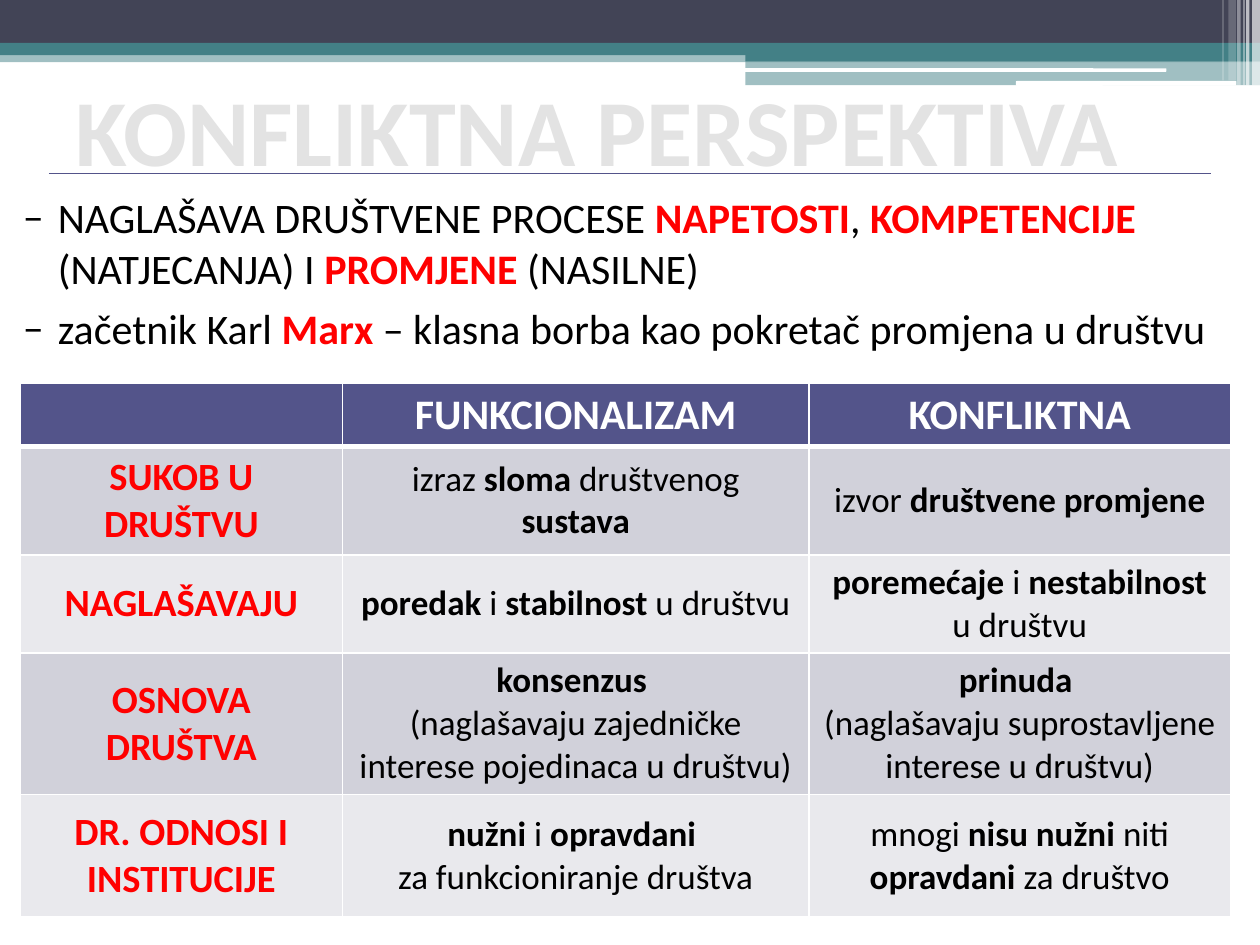
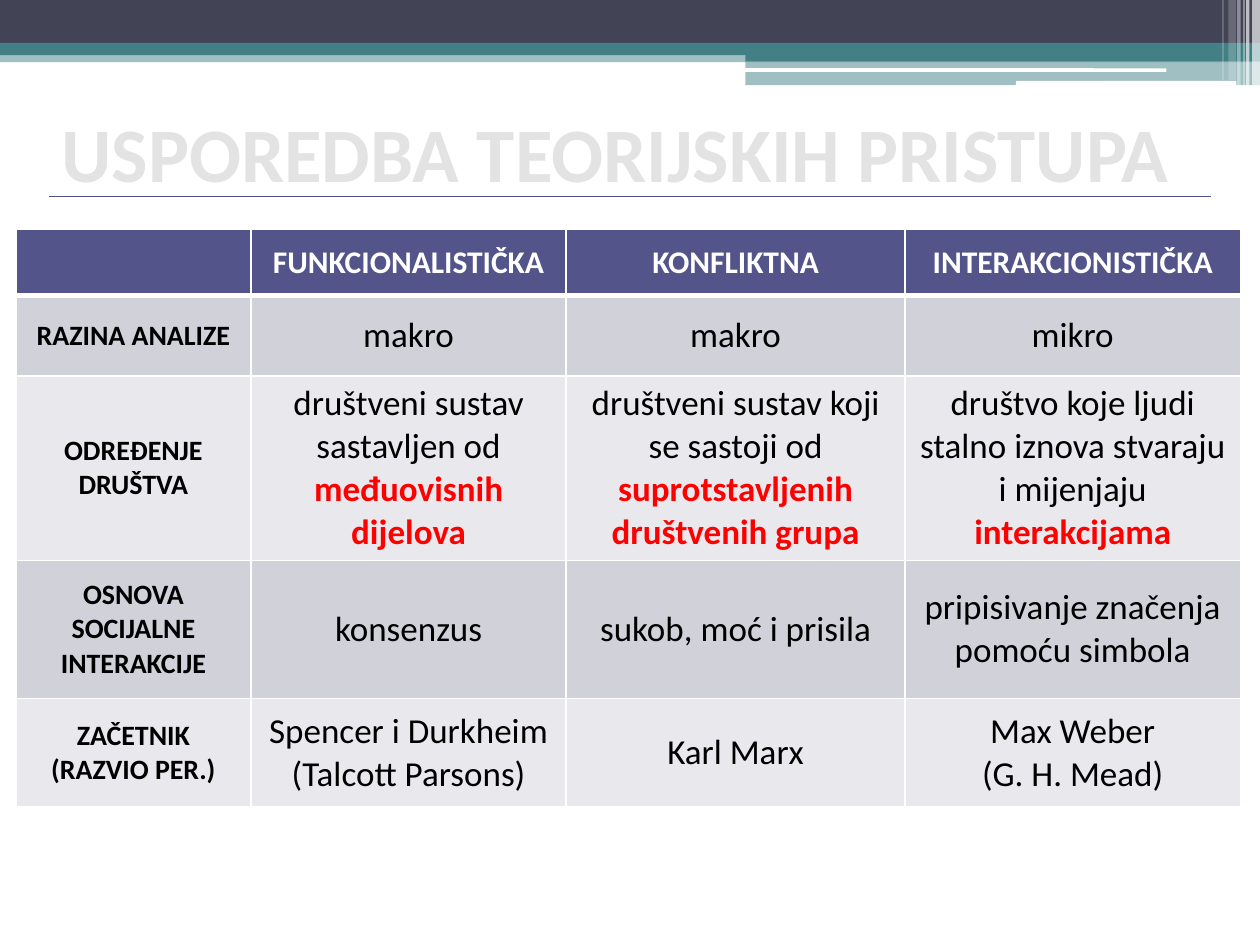
from lxml import etree
from pptx import Presentation
from pptx.dml.color import RGBColor
from pptx.enum import shapes, text
from pptx.oxml.ns import qn
from pptx.util import Pt

FONT = "Calibri"
WHITE, BLACK, RED = "FFFFFF", "000000", "FF0000"
NAVY, TEAL, INDIGO = "424456", "438086", "53548A"
TITLE_GREY, TITLE_EDGE = "E3E3E3", "3D405C"
ROW_FILLS = ("D1D1DA", "E9E9ED")
RECT = shapes.MSO_SHAPE.RECTANGLE
ROUNDED = shapes.MSO_SHAPE.ROUNDED_RECTANGLE

# left, top, width, height, colour, opacity in percent
BANDS = [
    (0, 29, 720, 6.5, TEAL, 50),
    (0, 0, 720, 24.5, NAVY, 100),
    (0, 24.5, 720, 7, TEAL, 100),
    (426, 28, 294, 7, TEAL, 100),
    (426, 34.75, 294, 14, TEAL, 50),
]
HIGHLIGHTS = [(425.5, 39, 241, 2, WHITE, 100), (580.5, 46.25, 126, 2.75, WHITE, 100)]
STRIPES = [
    (715.5, 0, 4.5, 49, WHITE, 65),
    (712, 0, 2, 49, WHITE, 65),
    (710.5, 0, 0.75, 49, WHITE, 60),
    (707, 0, 2, 49, WHITE, 40),
    (702, 0, 4.25, 46, WHITE, 20),
    (698.5, 0, 0.75, 46, WHITE, 30),
]


def rgb(value):
    return RGBColor.from_string(value)


def add_element(parent, tag, **attributes):
    return etree.SubElement(parent, qn(tag), attributes)


def add_line_fill(line, color):
    add_element(add_element(line, "a:solidFill"), "a:srgbClr", val=color)


def add_run(paragraph, wording, size, color, bold):
    run = paragraph.add_run()
    run.text = wording
    run.font.name, run.font.size, run.font.bold = FONT, Pt(size), bold
    run.font.color.rgb = rgb(color)
    return run


def add_marked_runs(paragraph, wording, size, color, accent):
    """Add runs; stretches between asterisks are bold in the accent colour."""
    for i, part in enumerate(wording.split("*")):
        if part:
            add_run(paragraph, part, size, accent if i % 2 else color, bool(i % 2))


def add_band(slide, preset, box, color, opacity):
    band = slide.shapes.add_shape(preset, *map(Pt, box))
    band.shadow.inherit = False
    band.line.fill.background()
    band.fill.solid()
    band.fill.fore_color.rgb = rgb(color)
    if opacity < 100:
        fill_color = band.fill._xPr.find(qn("a:solidFill"))[0]
        add_element(fill_color, "a:alpha", val=str(opacity * 1000))


def add_header_bands(slide):
    for preset, group in ((RECT, BANDS), (ROUNDED, HIGHLIGHTS), (RECT, STRIPES)):
        for *box, color, opacity in group:
            add_band(slide, preset, box, color, opacity)


def add_title(slide, wording, box, size, rule_top):
    rule = slide.shapes.add_connector(
        shapes.MSO_CONNECTOR.STRAIGHT, Pt(28), Pt(rule_top), Pt(692), Pt(rule_top))
    rule.line.color.rgb = rgb(INDIGO)
    rule.line.width = Pt(0.75)
    add_element(rule._element.spPr, "a:effectLst")

    title = slide.shapes.title
    title.left, title.top, title.width, title.height = map(Pt, box)
    frame = title.text_frame
    frame.word_wrap = True
    frame.auto_size = text.MSO_AUTO_SIZE.NONE
    frame.vertical_anchor = text.MSO_ANCHOR.MIDDLE
    paragraph = frame.paragraphs[0]
    paragraph.alignment = text.PP_ALIGN.LEFT
    run = add_run(paragraph, wording, size, TITLE_GREY, True)
    edge = etree.Element(qn("a:ln"), w=str(Pt(1)))
    add_line_fill(edge, TITLE_EDGE)
    run.font._element.insert(0, edge)


def add_points(slide, points, box):
    frame = slide.shapes.add_textbox(*map(Pt, box)).text_frame
    frame.word_wrap = True
    for i, point in enumerate(points):
        paragraph = frame.add_paragraph() if i else frame.paragraphs[0]
        properties = paragraph._p.get_or_add_pPr()
        properties.set("marL", str(Pt(29)))
        properties.set("indent", str(Pt(-20)))
        add_element(properties, "a:buFont", typeface=FONT)
        add_element(properties, "a:buChar", char="–")
        if i:
            paragraph.space_before = Pt(6)
        add_marked_runs(paragraph, point, 24, BLACK, RED)


def format_cell(cell, fill, bottom_width):
    properties = cell._tc.get_or_add_tcPr()
    for side in "LRTB":
        width = bottom_width if side == "B" else 1
        border = add_element(properties, f"a:ln{side}", w=str(Pt(width)))
        add_line_fill(border, WHITE)
    cell.fill.solid()
    cell.fill.fore_color.rgb = rgb(fill)
    cell.vertical_anchor = text.MSO_ANCHOR.MIDDLE


def fill_cell(cell, wording, size, color, accent):
    for i, line in enumerate(wording.split("\n")):
        paragraph = cell.text_frame.add_paragraph() if i else cell.text_frame.paragraphs[0]
        paragraph.alignment = text.PP_ALIGN.CENTER
        add_marked_runs(paragraph, line, size, color, accent)


def add_comparison(slide, rows, left, top, widths, heights,
                   header_size, label_size, label_color, accent):
    """Add a table with a header row and a bold label column."""
    table = slide.shapes.add_table(
        len(rows), len(widths), Pt(left), Pt(top), Pt(sum(widths)), Pt(sum(heights))).table
    for column, width in zip(table.columns, widths):
        column.width = Pt(width)
    for r, (row, height) in enumerate(zip(rows, heights)):
        table.rows[r].height = Pt(height)
        for c, wording in enumerate(row):
            cell = table.cell(r, c)
            if r == 0:
                format_cell(cell, INDIGO, 3)
                fill_cell(cell, wording and f"*{wording}*", header_size, WHITE, WHITE)
                continue
            format_cell(cell, ROW_FILLS[(r - 1) % 2], 1)
            if c == 0:
                label = "\n".join(f"*{line}*" for line in wording.split("\n"))
                fill_cell(cell, label, label_size, label_color, label_color)
            else:
                fill_cell(cell, wording, 20, BLACK, accent)


def new_slide(deck):
    slide = deck.slides.add_slide(deck.slide_layouts[5])
    add_header_bands(slide)
    return slide


def build_conflict_slide(deck):
    slide = new_slide(deck)
    add_title(slide, "KONFLIKTNA PERSPEKTIVA", (36, 31.75, 648, 84), 54, 99.25)
    add_points(slide, [
        "NAGLAŠAVA DRUŠTVENE PROCESE *NAPETOSTI*, *KOMPETENCIJE *"
        "(NATJECANJA) I *PROMJENE *(NASILNE)",
        "začetnik Karl *Marx *– klasna borba kao pokretač promjena u društvu",
    ], (-3, 106, 723, 388))
    add_comparison(slide, [
        ("", "FUNKCIONALIZAM", "KONFLIKTNA"),
        ("SUKOB U DRUŠTVU", "izraz *sloma* društvenog *sustava*",
         "izvor *društvene promjene*"),
        ("NAGLAŠAVAJU", "*poredak* i *stabilnost* u društvu",
         "*poremećaje *i *nestabilnost* u društvu"),
        ("OSNOVA DRUŠTVA",
         "*konsenzus *\n(naglašavaju zajedničke interese pojedinaca u društvu)",
         "*prinuda *\n(naglašavaju suprostavljene interese u društvu)"),
        ("DR. ODNOSI I INSTITUCIJE",
         "*nužni* i *opravdani *\nza funkcioniranje društva",
         "mnogi *nisu nužni *niti *opravdani* za društvo"),
    ], 11.5, 219, (184.25, 266.5, 241), (36, 62, 56, 81, 70), 24, 22, RED, BLACK)


def build_theories_slide(deck):
    slide = new_slide(deck)
    add_title(slide, "USPOREDBA TEORIJSKIH PRISTUPA", (28, 44.75, 677.5, 84), 44, 112.5)
    add_comparison(slide, [
        ("", "FUNKCIONALISTIČKA", "KONFLIKTNA", "INTERAKCIONISTIČKA"),
        ("RAZINA ANALIZE", "makro", "makro", "mikro"),
        ("ODREĐENJE\nDRUŠTVA",
         "društveni sustav sastavljen od *međuovisnih dijelova*",
         "društveni sustav koji se sastoji od *suprotstavljenih*\n*društvenih grupa*",
         "društvo koje ljudi stalno iznova stvaraju i mijenjaju *interakcijama*"),
        ("OSNOVA\nSOCIJALNE\nINTERAKCIJE", "konsenzus", "sukob, moć i prisila",
         "pripisivanje značenja pomoću simbola"),
        ("ZAČETNIK\n(RAZVIO PER.)", "Spencer i Durkheim\n(Talcott Parsons)",
         "Karl Marx", "Max Weber\n(G. H. Mead)"),
    ], 9, 131, (134.5, 180, 193.75, 191.5), (38, 46, 105, 79, 62), 18, 16, BLACK, RED)


def main():
    deck = Presentation()
    deck.slide_width, deck.slide_height = Pt(720), Pt(540)
    build_conflict_slide(deck)
    build_theories_slide(deck)
    deck.save("out.pptx")


if __name__ == "__main__":
    main()
